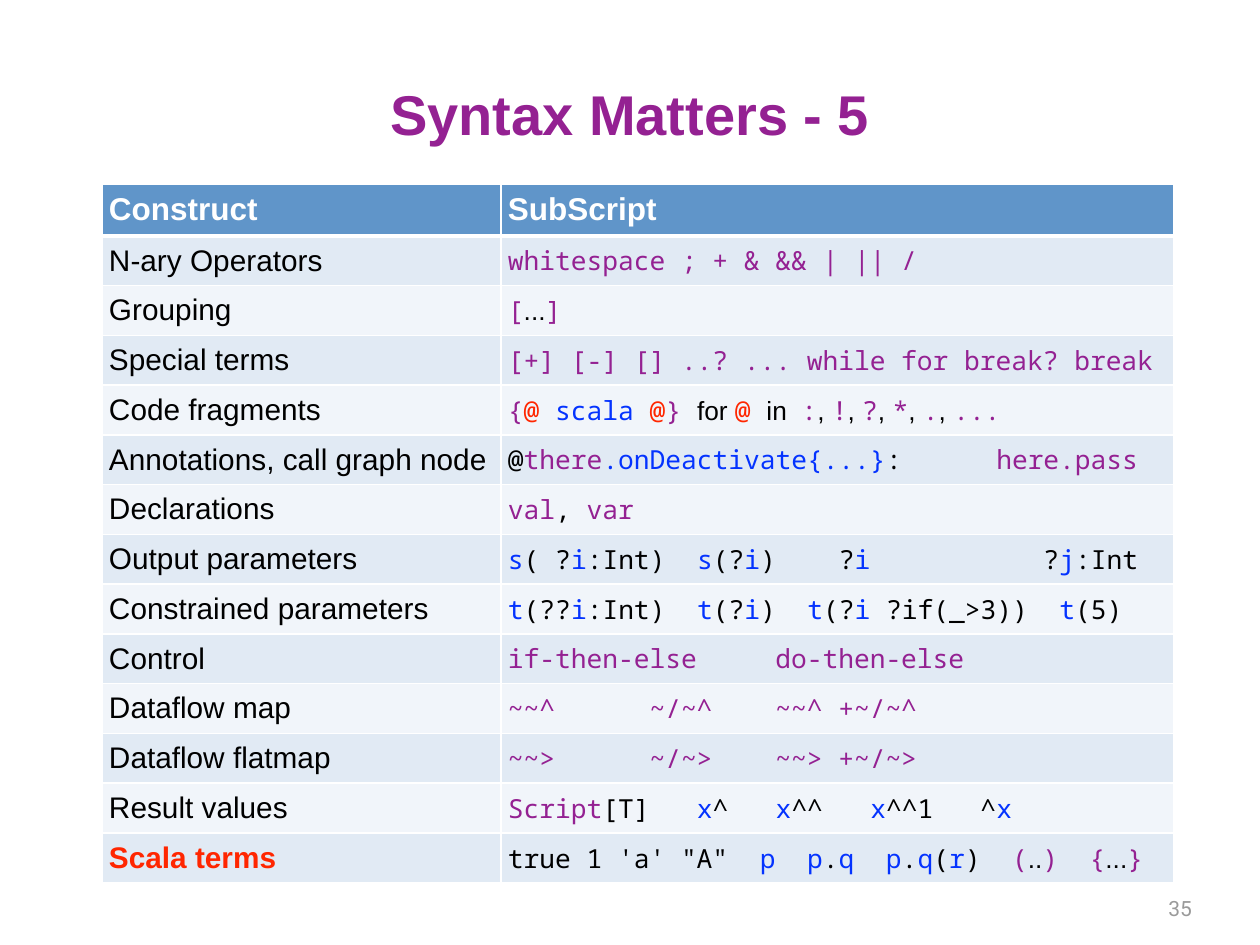
"""Build the SubScript syntax slide with its construct table."""
from dataclasses import dataclass
from functools import partial
from typing import NamedTuple

from lxml import etree
from pptx import Presentation, util as u
from pptx.dml.color import RGBColor
from pptx.enum import text as t
from pptx.oxml.ns import qn

SCALE = 914400 / 126


@dataclass(frozen=True)
class Theme:
    sans: str = "Arial"
    mono: str = "Noto Sans Mono"
    foot: str = "Roboto"
    plum: str = "942192"
    blue: str = "0433FF"
    red: str = "FF2600"
    black: str = "000000"
    white: str = "FFFFFF"
    gray: str = "9A9A9A"
    head: str = "6095C9"
    bands: tuple = ("E1EAF4", "F1F5FA")
    title: int = 32
    label: int = 18
    body: int = 17
    code: int = 15
    page: int = 12


TH = Theme()


class Run(NamedTuple):
    hue: str
    text: str
    size: int = TH.code
    font: str = TH.mono
    bold: bool = False


class Row(NamedTuple):
    name: Run
    code: list


class Box(NamedTuple):
    left: int
    top: int
    width: int
    height: int


plum = partial(Run, TH.plum)
blue = partial(Run, TH.blue)
red = partial(Run, TH.red)
black = partial(Run, TH.black)
sans = partial(Run, TH.black, font=TH.sans)
name = partial(sans, size=TH.body)
head = partial(Run, TH.white, size=TH.label, font=TH.sans, bold=True)

ROWS = [
    Row(head("Construct"), [head("SubScript")]),
    Row(name("N-ary Operators"), [plum("whitespace ; + & && | || /")]),
    Row(name("Grouping"), [plum("["), sans("..."), plum("]")]),
    Row(name("Special terms"), [plum("[+] [-] [] ..? ... while for break? break")]),
    Row(name("Code fragments"), [
        plum("{"), red("@ "), blue("scala "), red("@"), plum("} "), sans("for "),
        red("@ "), sans("in  "), plum(":"), sans(", "), plum("!"), sans(", "),
        plum("?"), sans(", "), plum("*"), sans(", "), plum("."), sans(", "),
        plum("...")]),
    Row(name("Annotations, call graph node"), [
        black("@"), plum("there"), blue(".onDeactivate{...}"), black(":      "),
        plum("here.pass")]),
    Row(name("Declarations"), [plum("val"), black(", "), plum("var")]),
    Row(name("Output parameters"), [
        blue("s"), black("( ?"), blue("i"), black(":Int)  "), blue("s"),
        black("(?"), blue("i"), black(")    ?"), blue("i"),
        black("           ?"), blue("j"), black(":Int")]),
    Row(name("Constrained parameters"), [
        blue("t"), black("(??"), blue("i"), black(":Int)  "), blue("t"),
        black("(?"), blue("i"), black(")  "), blue("t"), black("(?"), blue("i"),
        black(" ?if(_>3))  "), blue("t"), black("(5)")]),
    Row(name("Control"), [plum("if-then-else     do-then-else")]),
    Row(name("Dataflow map"), [plum("~~^      ~/~^    ~~^ +~/~^")]),
    Row(name("Dataflow flatmap"), [plum("~~>      ~/~>    ~~> +~/~>")]),
    Row(name("Result values"), [
        plum("Script"), black("[T]   "), blue("x"), black("^   "), blue("x"),
        black("^^   "), blue("x"), black("^^1   ^"), blue("x")]),
    Row(Run(TH.red, "Scala terms", TH.body, TH.sans, True), [
        black("true 1 'a' \"A\"  "), blue("p  p"), black("."), blue("q  p"),
        black("."), blue("q"), black("("), blue("r"), black(")  "), plum("("),
        sans(".."), plum(")  {"), sans("..."), plum("}")]),
]


def px(n: int) -> u.Emu:
    """Turn pixels into EMU."""
    return u.Emu(round(n * SCALE))


def write(para, runs: list) -> None:
    """Add styled runs to a paragraph."""
    for item in runs:
        run = para.add_run()
        run.text = item.text
        font = run.font
        font.name, font.size, font.bold = item.font, u.Pt(item.size), item.bold
        font.color.rgb = RGBColor.from_string(item.hue)


def pad(part, gap: int) -> None:
    """Set equal insets on a cell or a text frame."""
    part.margin_left = part.margin_right = px(gap)
    part.margin_top = part.margin_bottom = px(gap)
    part.vertical_anchor = t.MSO_ANCHOR.MIDDLE


def label(slide, box: Box, run: Run, align, wrap: bool) -> None:
    """Add a text box with one run."""
    frame = slide.shapes.add_textbox(*map(px, box)).text_frame
    pad(frame, 5)
    frame.word_wrap = wrap
    para = frame.paragraphs[0]
    para.alignment = align
    write(para, [run])


def edge(cell, side: str, width: int) -> None:
    """Draw one white cell border."""
    line = etree.SubElement(cell._tc.get_or_add_tcPr(), qn(f"a:ln{side}"),
                            w=str(u.Pt(width)))
    fill = etree.SubElement(line, qn("a:solidFill"))
    etree.SubElement(fill, qn("a:srgbClr"), val=TH.white)


def fill(cell, runs: list, row: int) -> None:
    """Style one cell and write its runs."""
    pad(cell, 7)
    for side in "LRTB":
        thick = (row, side) in ((0, "B"), (1, "T"))
        edge(cell, side, 3 if thick else 1)
    cell.fill.solid()
    hue = TH.bands[(row - 1) % 2] if row else TH.head
    cell.fill.fore_color.rgb = RGBColor.from_string(hue)
    write(cell.text_frame.paragraphs[0], runs)


def grid(slide, left: int, top: int, cols: tuple, high: int) -> None:
    """Add the table of constructs."""
    box = Box(left, top, sum(cols), high * len(ROWS))
    table = slide.shapes.add_table(len(ROWS), len(cols), *map(px, box)).table
    for col, wide in zip(table.columns, cols):
        col.width = px(wide)
    for i, row in enumerate(ROWS):
        table.rows[i].height = px(high)
        fill(table.cell(i, 0), [row.name], i)
        fill(table.cell(i, 1), row.code, i)


def main() -> None:
    """Build and save the deck."""
    deck = Presentation()
    deck.slide_width, deck.slide_height = px(1260), px(945)
    slide = deck.slides.add_slide(deck.slide_layouts[6])
    label(slide, Box(63, 34, 1134, 158),
          Run(TH.plum, "Syntax Matters - 5", TH.title, TH.sans, True),
          t.PP_ALIGN.CENTER, True)
    label(slide, Box(1162, 891, 35, 35), Run(TH.gray, "35", TH.page, TH.foot),
          t.PP_ALIGN.RIGHT, False)
    grid(slide, 102, 184, (399, 673), 48)
    deck.save("out.pptx")


if __name__ == "__main__":
    main()
